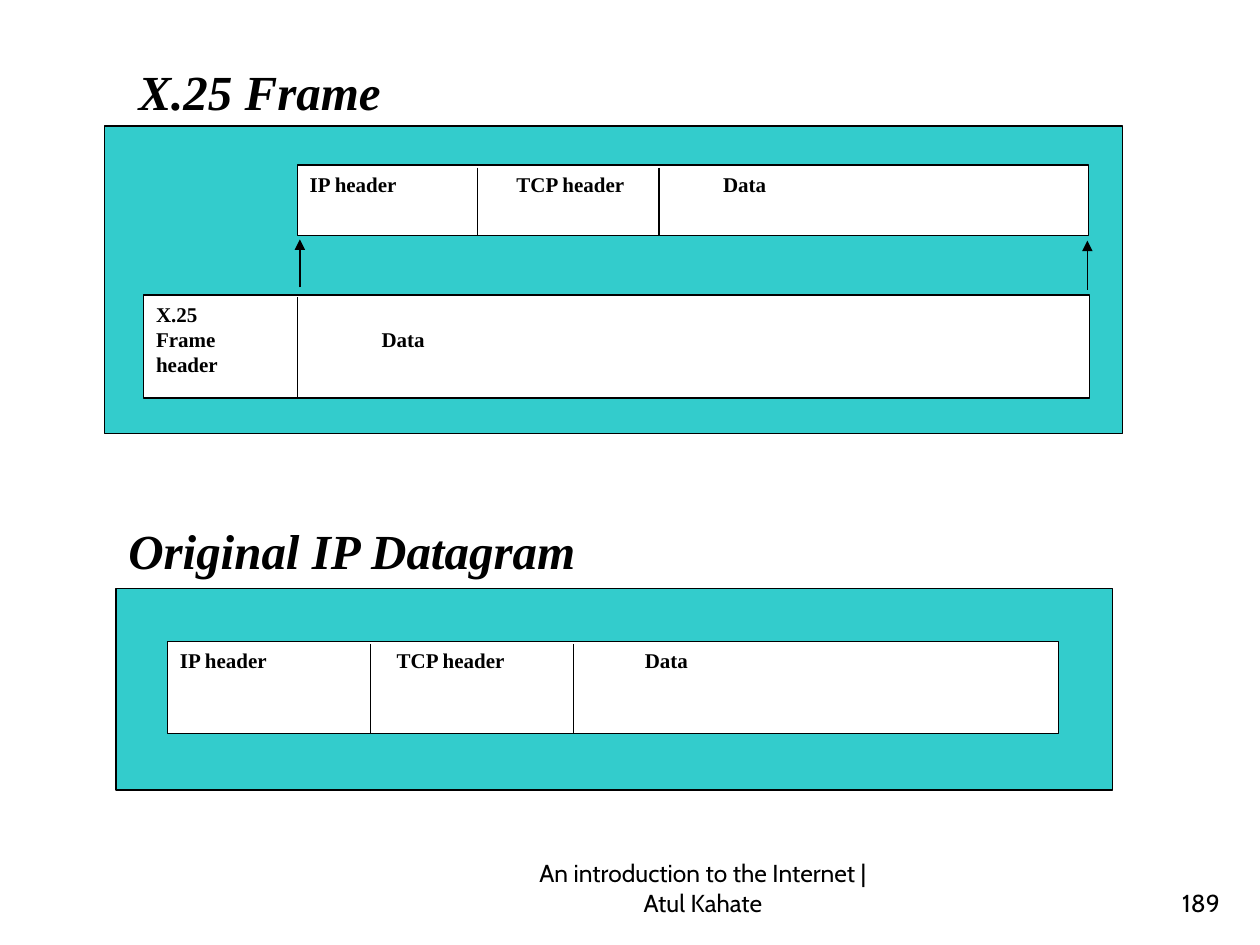
from dataclasses import dataclass

from lxml.etree import SubElement
from pptx import Presentation
from pptx.dml.color import RGBColor
from pptx.enum.shapes import MSO_CONNECTOR, MSO_SHAPE
from pptx.enum.text import MSO_ANCHOR, MSO_AUTO_SIZE, PP_ALIGN
from pptx.oxml.ns import qn
from pptx.shapes.autoshape import Shape
from pptx.slide import Slide
from pptx.util import Inches, Pt

BLACK = RGBColor(0x00, 0x00, 0x00)
WHITE = RGBColor(0xFF, 0xFF, 0xFF)
TEAL = RGBColor(0x33, 0xCC, 0xCC)
SERIF = "Times New Roman"
SANS = "Cabin"
LINE_WIDTH = Pt(0.75)


@dataclass(frozen=True)
class Box:
    left: float
    top: float
    width: float
    height: float

    def lengths(self) -> tuple[int, ...]:
        return tuple(Inches(v) for v in (self.left, self.top, self.width, self.height))


@dataclass(frozen=True)
class Packet:
    box: Box
    lines: tuple[str, ...]
    tabs: tuple[float, ...]
    dividers: tuple[float, ...]


@dataclass(frozen=True)
class Arrow:
    x: float
    start: float
    end: float


PANELS = (Box(0.83, 1, 8.08, 2.44), Box(0.92, 4.67, 7.91, 1.6))
FIELDS = ("IP header\tTCP header\tData",)
PACKETS = (
    Packet(Box(2.36, 1.31, 6.28, 0.56), FIELDS, (1.64, 3.28), (3.79, 5.23)),
    Packet(Box(1.14, 2.34, 7.51, 0.82), ("X.25", "Frame\tData", "header"), (1.79,), (2.36,)),
    Packet(Box(1.33, 5.09, 7.07, 0.73), FIELDS, (1.72, 3.69), (2.94, 4.55)),
)
ARROWS = (Arrow(2.38, 2.28, 1.9), Arrow(8.63, 2.3, 1.91))


def write_text(
    shape: Shape,
    *lines: str,
    size: float = 12,
    font: str = SERIF,
    bold: bool = False,
    italic: bool = False,
    align: PP_ALIGN = PP_ALIGN.LEFT,
    anchor: MSO_ANCHOR = MSO_ANCHOR.TOP,
    tabs: tuple[float, ...] = (),
) -> None:
    frame = shape.text_frame
    frame.word_wrap = True
    frame.auto_size = MSO_AUTO_SIZE.NONE
    frame.vertical_anchor = anchor
    frame.text = "\n".join(lines)
    for paragraph in frame.paragraphs:
        paragraph.alignment = align
        if tabs:
            tab_list = SubElement(paragraph._p.get_or_add_pPr(), qn("a:tabLst"))
            for position in tabs:
                SubElement(tab_list, qn("a:tab"), pos=str(Inches(position)), algn="l")
        paragraph.font.size = Pt(size)
        paragraph.font.name = font
        paragraph.font.bold = bold
        paragraph.font.italic = italic
        paragraph.font.color.rgb = BLACK


def add_rectangle(slide: Slide, box: Box, fill: RGBColor) -> Shape:
    rectangle = slide.shapes.add_shape(MSO_SHAPE.RECTANGLE, *box.lengths())
    rectangle.shadow.inherit = False
    rectangle.fill.solid()
    rectangle.fill.fore_color.rgb = fill
    rectangle.line.color.rgb = BLACK
    rectangle.line.width = LINE_WIDTH
    return rectangle


def add_vertical(slide: Slide, x: float, start: float, end: float, arrow: bool = False) -> None:
    line = slide.shapes.add_connector(
        MSO_CONNECTOR.STRAIGHT, Inches(x), Inches(start), Inches(x), Inches(end)
    )
    line.line.color.rgb = BLACK
    line.line.width = LINE_WIDTH
    if arrow:
        SubElement(line.line._get_or_add_ln(), qn("a:tailEnd"), type="triangle")
    SubElement(line._element.spPr, qn("a:effectLst"))


def add_packet(slide: Slide, packet: Packet) -> None:
    box = packet.box
    rectangle = add_rectangle(slide, box, WHITE)
    write_text(rectangle, *packet.lines, bold=True, tabs=packet.tabs)
    for x in packet.dividers:
        add_vertical(slide, x, box.top + 0.02, box.top + box.height)


def main() -> None:
    presentation = Presentation()
    presentation.slide_width, presentation.slide_height = Inches(10), Inches(7.5)
    slide = presentation.slides.add_slide(presentation.slide_layouts[5])

    title = slide.shapes.title
    title.left, title.top, title.width, title.height = Box(1, 0.44, 2.5, 0.57).lengths()
    subtitle = slide.shapes.add_textbox(*Box(0.92, 4.08, 4, 0.57).lengths())
    for heading, words in ((title, "X.25 Frame"), (subtitle, "Original IP Datagram")):
        write_text(heading, words, size=28, bold=True, italic=True)

    for panel in PANELS:
        add_rectangle(slide, panel, TEAL)
    for packet in PACKETS:
        add_packet(slide, packet)
    for arrow in ARROWS:
        add_vertical(slide, arrow.x, arrow.start, arrow.end, arrow=True)

    footer = slide.shapes.add_textbox(*Box(4.03, 6.83, 3.1, 0.5).lengths())
    page_number = slide.shapes.add_textbox(*Box(7.7, 6.83, 2.08, 0.5).lengths())
    for note, words, align in (
        (footer, "An introduction to the Internet | Atul Kahate", PP_ALIGN.CENTER),
        (page_number, "189", PP_ALIGN.RIGHT),
    ):
        write_text(note, words, size=14, font=SANS, align=align, anchor=MSO_ANCHOR.BOTTOM)

    presentation.save("out.pptx")


if __name__ == "__main__":
    main()
